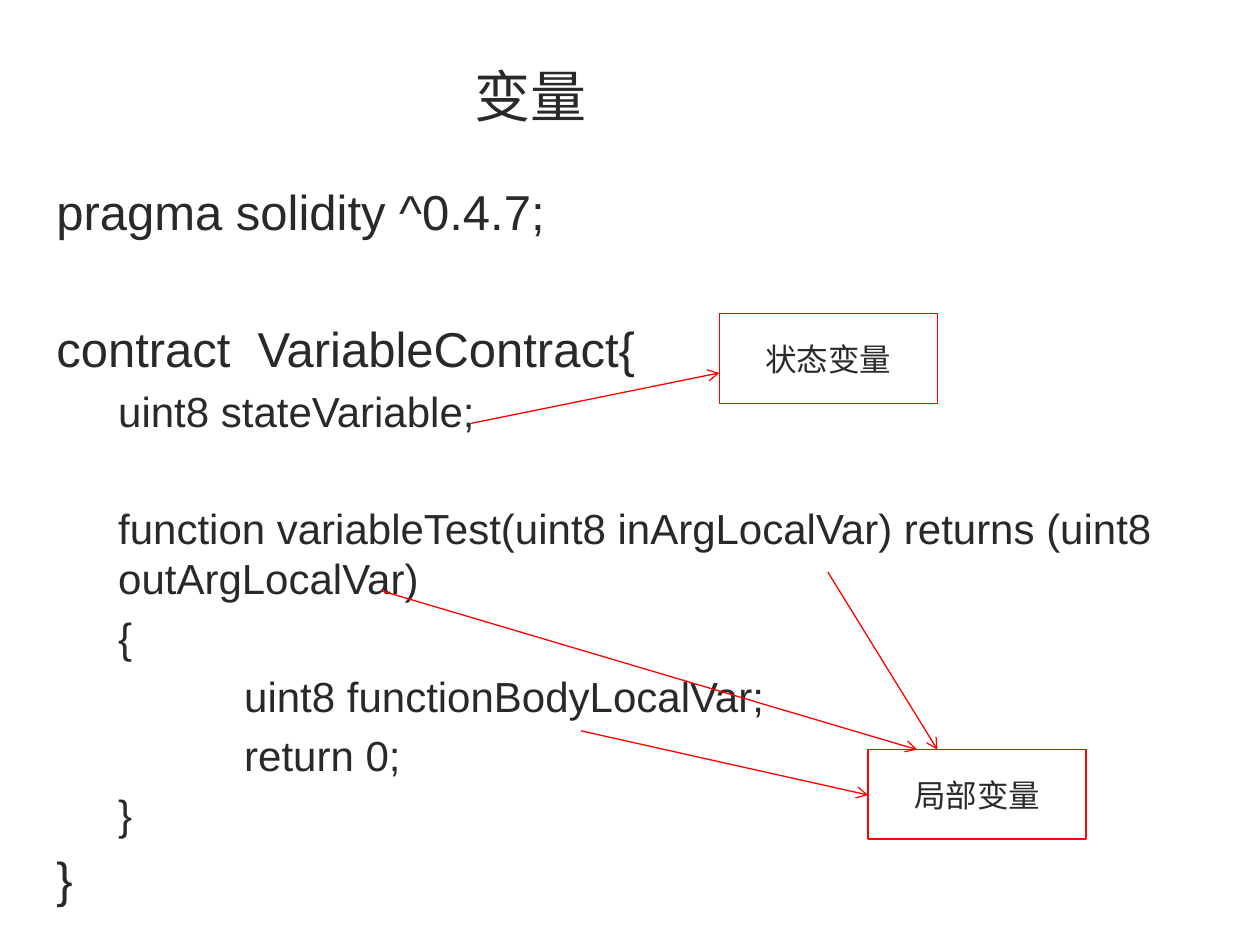
from lxml import etree
from pptx import Presentation
from pptx.dml.color import RGBColor
from pptx.enum import shapes, text
from pptx.oxml.ns import qn
from pptx.util import Inches, Pt

INK = RGBColor(0x29, 0x29, 0x29)
RED = RGBColor(0xFF, 0x00, 0x00)
WHITE = RGBColor(0xFF, 0xFF, 0xFF)

BOX_WIDTH, BOX_HEIGHT = 1.73, 0.71
INDENTS = (0, 0.49, 1.49)
SIZES = (28, 24, 24)
LINE_HEIGHT = 1.19  # one line, as a multiple of the text size
GAP = 0.2           # space before a line, as a multiple of the text size

# Code lines: indent level, whether an empty line comes before, wording
CODE = [
    (0, False, "pragma solidity ^0.4.7;"),
    (0, True, "contract  VariableContract{"),
    (1, False, "uint8 stateVariable;"),
    (1, True, "function variableTest(uint8 inArgLocalVar) returns (uint8 outArgLocalVar)"),
    (1, False, "{"),
    (2, False, "uint8 functionBodyLocalVar;"),
    (2, False, "return 0;"),
    (1, False, "}"),
    (0, False, "}"),
]

LABELS = [("状态变量", 5.71, 2.49), ("局部变量", 6.89, 5.95)]

# Arrows from a variable to its label
ARROWS = [
    ((3.74, 3.36), (5.71, 2.96)),
    ((6.57, 4.54), (7.44, 5.95)),
    ((3.03, 4.69), (7.28, 5.95)),
    ((4.61, 5.8), (6.89, 6.31)),
]


def write(para, wording, *, size, font="Arial", align=text.PP_ALIGN.LEFT,
          indent=0, before=0):
    para.alignment = align
    para.space_before = Pt(before)
    if indent:
        para._p.get_or_add_pPr().set("marL", str(Inches(indent)))
    span = para.add_run()
    span.text = wording
    span.font.size = Pt(size)
    span.font.name = font
    span.font.color.rgb = INK


def add_text_frame(page, left, top, width, height, anchor):
    box = page.shapes.add_textbox(Inches(left), Inches(top), Inches(width), Inches(height))
    frame = box.text_frame
    frame.word_wrap = True
    frame.vertical_anchor = anchor
    return frame


def add_code(page):
    frame = add_text_frame(page, 0.35, 1.39, 9.06, 5.04, text.MSO_ANCHOR.TOP)
    for number, (level, after_empty, wording) in enumerate(CODE):
        para = frame.add_paragraph() if number else frame.paragraphs[0]
        size = SIZES[level]
        before = GAP + (LINE_HEIGHT + GAP if after_empty else 0)
        write(para, wording, size=size, indent=INDENTS[level], before=size * before)


def add_label(page, wording, left, top):
    box = page.shapes.add_shape(shapes.MSO_SHAPE.RECTANGLE, Inches(left), Inches(top),
                                Inches(BOX_WIDTH), Inches(BOX_HEIGHT))
    box.shadow.inherit = False
    box.fill.solid()
    box.fill.fore_color.rgb = WHITE
    box.line.color.rgb = RED
    box.line.width = Pt(0.75)
    frame = box.text_frame
    frame.word_wrap = False
    frame.vertical_anchor = text.MSO_ANCHOR.MIDDLE
    write(frame.paragraphs[0], wording, size=18, font="Times New Roman",
          align=text.PP_ALIGN.CENTER)


def add_arrow(page, start, end):
    arrow = page.shapes.add_connector(shapes.MSO_CONNECTOR.STRAIGHT,
                                      *map(Inches, start + end))
    arrow.line.color.rgb = RED
    arrow.line.width = Pt(0.75)
    etree.SubElement(arrow.line._get_or_add_ln(), qn("a:tailEnd"), type="arrow")
    etree.SubElement(arrow._element.spPr, qn("a:effectLst"))


def main():
    deck = Presentation()
    deck.slide_width, deck.slide_height = Inches(10), Inches(7.5)
    page = deck.slides.add_slide(deck.slide_layouts[6])

    # Title
    title = add_text_frame(page, 1.14, 0.44, 6.14, 0.63, text.MSO_ANCHOR.BOTTOM)
    write(title.paragraphs[0], "变量", size=32, align=text.PP_ALIGN.CENTER)

    # Code, labels and the arrows between them
    add_code(page)
    for label in LABELS:
        add_label(page, *label)
    for start, end in ARROWS:
        add_arrow(page, start, end)

    deck.save("out.pptx")


if __name__ == "__main__":
    main()
